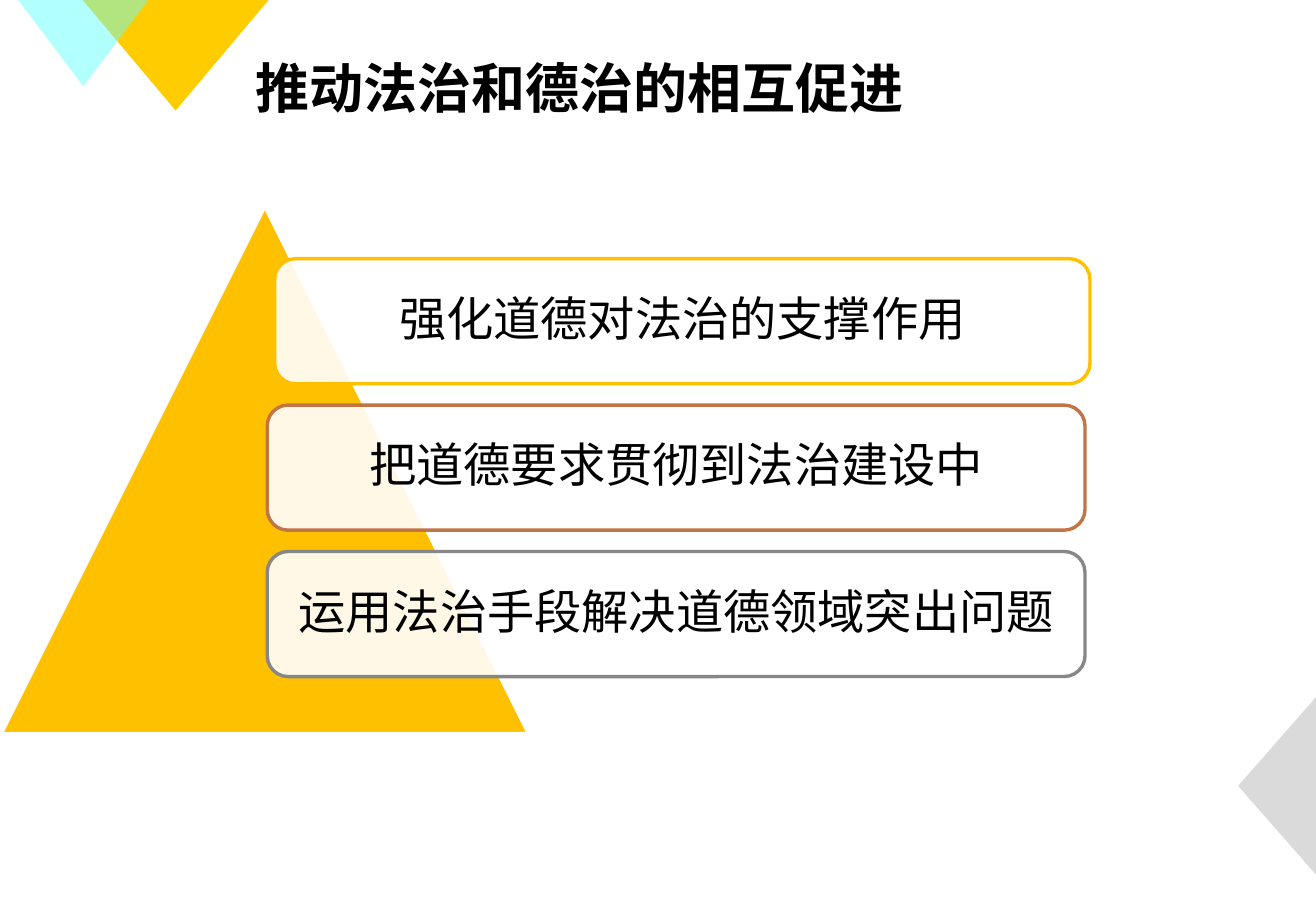
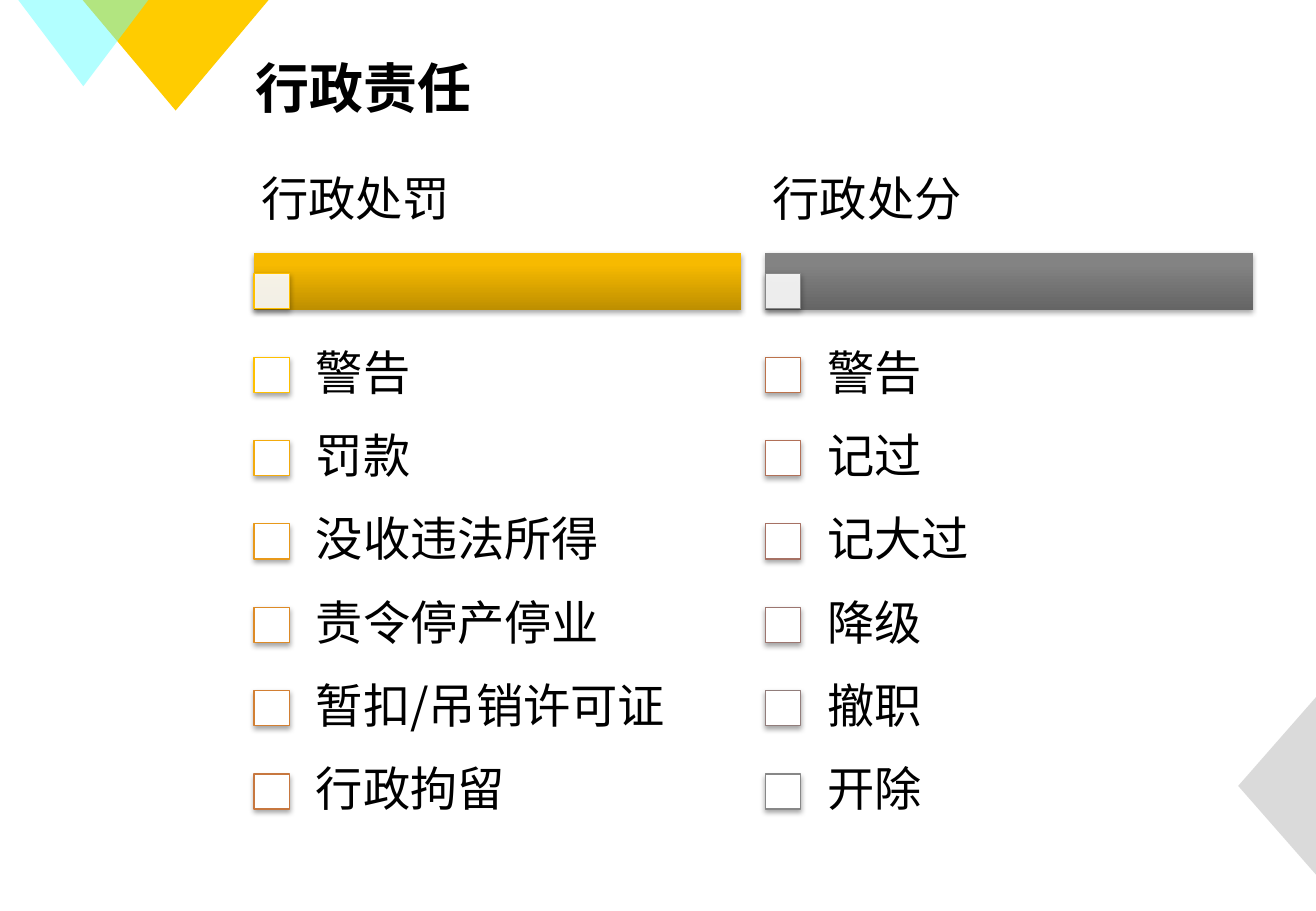
from lxml import etree
from pptx import Presentation
from pptx.dml.color import RGBColor
from pptx.enum.shapes import MSO_SHAPE
from pptx.enum.text import MSO_ANCHOR, PP_ALIGN
from pptx.oxml.ns import qn
from pptx.util import Inches, Pt

TRIANGLE, RECT, ROUND = MSO_SHAPE.ISOSCELES_TRIANGLE, MSO_SHAPE.RECTANGLE, MSO_SHAPE.ROUNDED_RECTANGLE
MIDDLE, LEFT, CENTER = MSO_ANCHOR.MIDDLE, PP_ALIGN.LEFT, PP_ALIGN.CENTER

WIDTH, HEIGHT = Inches(10.83), Inches(7.5)
FONT = "Noto Sans CJK SC"
C = {
    "text": "000000", "white": "FFFFFF", "gold": "FFC000", "copper": "C17445", "grey": "878787",
    "corner": "FFCC00", "cyan": "66FFFF", "edge": "B7B7B7",
    "gold_dark": "BE8F00", "gold_light": "F7BA00", "grey_dark": "656565", "grey_light": "838383",
}

BANNERS = [
    ("强化道德对法治的支撑作用", "gold", 20.87, 61.96),
    ("把道德要求贯彻到法治建设中", "copper", 20.31, 62.14),
    ("运用法治手段解决道德领域突出问题", "grey", 20.31, 62.14),
]
BANNER_TOP, BANNER_HEIGHT, BANNER_PITCH = 28.4, 13.73, 16.07

COLUMNS = [
    ("行政处罚", "gold", [
        ("警告", "FFC000"), ("罚款", "F3AB0D"), ("没收违法所得", "E8991A"),
        ("责令停产停业", "DD8A26"), ("暂扣/吊销许可证", "D27F33"), ("行政拘留", "C7773F")]),
    ("行政处分", "grey", [
        ("警告", "BC724B"), ("记过", "B17058"), ("记大过", "A67164"),
        ("降级", "9C7670"), ("撤职", "917D7B"), ("开除", "878787")]),
]
COL_LEFT, COL_PITCH, COL_WIDTH = 19.3, 38.87, 37.03
ROW_TOP, ROW_PITCH, ROW_HEIGHT = 39.2, 9.15, 9.2
BOX_WIDTH, BOX_HEIGHT = 2.68, 3.87


def place(x, y, w, h):
    """Turn percentages of the slide into lengths."""
    return [int(size * share / 100) for size, share in zip((WIDTH, HEIGHT) * 2, (x, y, w, h))]


def add_shadow(sp):
    """Give a shape a soft shadow below it."""
    effects = sp._element.spPr.find(qn("a:effectLst"))
    outer = etree.SubElement(effects, qn("a:outerShdw"), blurRad=str(Pt(3.1)), dist=str(Pt(1.8)),
                             dir="5400000", algn="ctr", rotWithShape="0")
    clr = etree.SubElement(outer, qn("a:srgbClr"), val="000000")
    etree.SubElement(clr, qn("a:alpha"), val="35000")


def add_shape(s, kind, area, fill, line=None, line_width=2, alpha=100, rotation=0, shadow=False):
    """Add a preset shape; a pair of fills makes a gradient rising from the first."""
    sp = s.shapes.add_shape(kind, *place(*area))
    sp.rotation = rotation
    sp.shadow.inherit = False
    if isinstance(fill, tuple):
        sp.fill.gradient()
        sp.fill.gradient_angle = 90
        for stop, position, color in zip(sp.fill.gradient_stops, (0, 0.8), fill):
            stop.position = position
            stop.color.rgb = RGBColor.from_string(color)
    else:
        sp.fill.solid()
        sp.fill.fore_color.rgb = RGBColor.from_string(fill)
        if alpha < 100:
            clr = sp._element.spPr.find(qn("a:solidFill"))[0]
            etree.SubElement(clr, qn("a:alpha"), val=str(alpha * 1000))
    if line:
        sp.line.color.rgb = RGBColor.from_string(line)
        sp.line.width = Pt(line_width)
    else:
        sp.line.fill.background()
    if shadow:
        add_shadow(sp)
    return sp


def write(sp, text, inset, size=28, bold=False, align=LEFT, spacing=0.9):
    """Write one middle-anchored line into a shape."""
    tf = sp.text_frame
    tf.text = text
    tf.word_wrap = True
    tf.vertical_anchor = MIDDLE
    tf.margin_left = tf.margin_right = Inches(inset[0])
    tf.margin_top = tf.margin_bottom = Inches(inset[1])
    p = tf.paragraphs[0]
    p.alignment = align
    p.line_spacing = spacing
    r = p.runs[0]
    r.font.size = Pt(size)
    r.font.bold = bold
    r.font.color.rgb = RGBColor.from_string(C["text"])
    r.font.name = FONT
    etree.SubElement(r.font._element, qn("a:ea"), typeface=FONT)


def add_text(s, area, text, inset, **style):
    """Add a text box."""
    write(s.shapes.add_textbox(*place(*area)), text, inset, **style)


def add_slide(prs, title):
    """Add a slide with the corner triangles and its title."""
    s = prs.slides.add_slide(prs.slide_layouts[6])
    add_shape(s, TRIANGLE, (6.28, 0, 14.13, 12.13), C["corner"], rotation=180)
    add_shape(s, TRIANGLE, (1.39, 0, 9.88, 9.47), C["cyan"], alpha=50, rotation=180)
    add_shape(s, TRIANGLE, (90.3, 82, 13.48, 8.53), C["edge"], alpha=50, rotation=270)
    add_text(s, (18.47, 4.8, 71.93, 9.47), title, (0.1, 0.05), size=32, bold=True, spacing=1.0)
    return s


def add_pyramid(s):
    """Draw the triangle with its stacked banners."""
    add_shape(s, TRIANGLE, (0.09, 22.67, 40.07, 57.87), C["gold"], C["white"])
    for i, (text, color, x, w) in enumerate(BANNERS):
        area = (x, BANNER_TOP + i * BANNER_PITCH, w, BANNER_HEIGHT)
        sp = add_shape(s, ROUND, area, C["white"], C[color], alpha=90)
        write(sp, text, (0.12, 0.12), align=CENTER)


def add_checkbox(s, x, y, color, alpha=100):
    """Draw a small outlined square."""
    add_shape(s, RECT, (x, y, BOX_WIDTH, BOX_HEIGHT), C["white"], color, 0.75, alpha, shadow=True)


def add_checklist(s, x, heading, color, items):
    """Draw a heading, its bar and a column of checkbox items."""
    bar = (C[color + "_dark"], C[color + "_light"])
    add_shape(s, RECT, (x, 27.73, COL_WIDTH, 6.27), bar, shadow=True)
    add_checkbox(s, x, 30, C[color], alpha=90)
    add_text(s, (x, 16.4, COL_WIDTH, 11.33), heading, (0.06, 0.04))
    for i, (text, outline) in enumerate(items):
        y = ROW_TOP + i * ROW_PITCH
        add_checkbox(s, x, y, outline)
        area = (x + BOX_WIDTH, y - (ROW_HEIGHT - BOX_HEIGHT) / 2, COL_WIDTH - BOX_WIDTH, ROW_HEIGHT)
        add_text(s, area, text, (0.22, 0.22))


def main():
    """Build and save the presentation."""
    prs = Presentation()
    prs.slide_width, prs.slide_height = WIDTH, HEIGHT
    add_pyramid(add_slide(prs, "推动法治和德治的相互促进"))
    s = add_slide(prs, "行政责任")
    for i, column in enumerate(COLUMNS):
        add_checklist(s, COL_LEFT + i * COL_PITCH, *column)
    prs.save("out.pptx")


if __name__ == "__main__":
    main()
